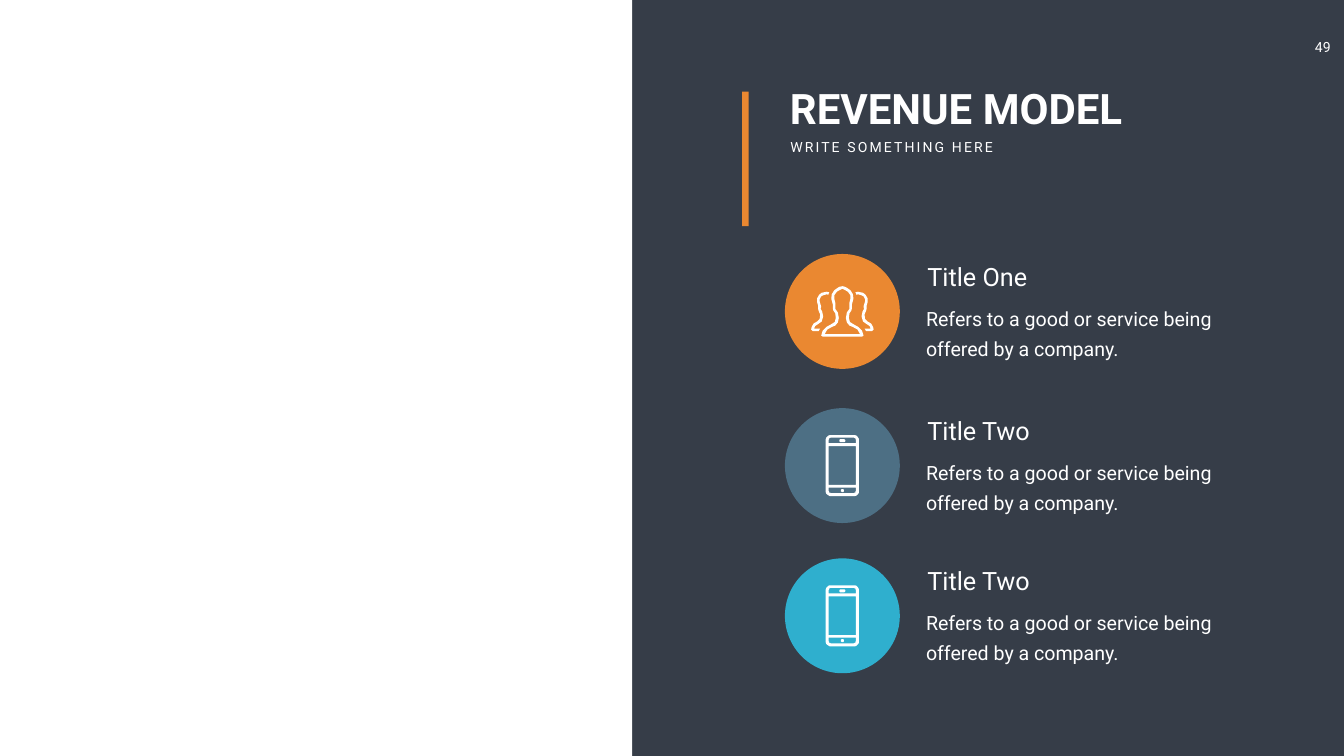
from dataclasses import dataclass
from math import cos, pi, sin

from pptx import Presentation
from pptx.dml.color import RGBColor
from pptx.enum.shapes import MSO_SHAPE
from pptx.enum.text import MSO_ANCHOR, MSO_AUTO_SIZE, PP_ALIGN
from pptx.util import Cm, Pt

RECT, OVAL = MSO_SHAPE.RECTANGLE, MSO_SHAPE.OVAL
LEFT, CENTER = PP_ALIGN.LEFT, PP_ALIGN.CENTER
TOP, FIXED = MSO_ANCHOR.TOP, MSO_AUTO_SIZE.NONE

WHITE = RGBColor(0xFF, 0xFF, 0xFF)
DARK = RGBColor(0x36, 0x3D, 0x48)
ORANGE = RGBColor(0xEA, 0x88, 0x31)
SLATE = RGBColor(0x4D, 0x6F, 0x84)
CYAN = RGBColor(0x2F, 0xAF, 0xCE)

FONT = "Roboto"
BODY = "Refers to a good or service being offered by a company."
DISC_X, DISC = 39.55, 5.79
UNIT = Cm(2.54) / 100  # one step of the icon grids

Path = list[tuple[float, float]]


@dataclass
class Box:
    x: float
    y: float
    w: float
    h: float


@dataclass
class Item:
    top: float
    title: str
    color: RGBColor
    icon: list[Path]


def mirror(half: Path) -> Path:
    return [(-x, y) for x, y in reversed(half)]


def rounded(x: float, y: float, w: float, h: float, top: float, base: float) -> Path:
    """Outline of a rectangle with one radius for the top and one for the base."""
    turns = [(x + w - top, y + top, top, -90), (x + w - base, y + h - base, base, 0),
             (x + base, y + h - base, base, 90), (x + top, y + top, top, 180)]
    return [(cx + r * cos(a * pi / 180), cy + r * sin(a * pi / 180))
            for cx, cy, r, start in turns
            for a in (range(start, start + 91, 15) if r else [start])]


# Icon paths are centred on x = 0 and start at y = 0.
OUTER = [(0, 0), (-5, 1), (-9, 3), (-16, 8), (-21, 16), (-22, 25), (-19, 36),
         (-19, 43), (-18, 48), (-14, 54), (-13, 63), (-15, 71), (-23, 76),
         (-32, 81), (-39, 88), (-42, 98), (-39, 100)]
INNER = [(0, 5), (-6, 8), (-11, 11), (-16, 18), (-16, 25), (-14, 33), (-14, 45),
         (-9, 52), (-7, 63), (-9, 72), (-14, 78), (-21, 81), (-30, 86), (-35, 95)]
SIDE = [(-48, 75), (-41, 70), (-38, 60), (-40, 50), (-43, 45), (-42, 40), (-43, 37),
        (-45, 30), (-45, 26), (-42, 20), (-38, 18), (-31, 16), (-28, 17), (-26, 12),
        (-31, 11), (-41, 13), (-46, 17), (-50, 24), (-50, 32), (-48, 39), (-48, 45),
        (-47, 49), (-44, 56), (-45, 65), (-50, 70), (-57, 74), (-61, 81), (-62, 86),
        (-59, 89), (-47, 89), (-44, 84), (-56, 84), (-54, 79)]
PEOPLE = [OUTER + mirror(OUTER), INNER + mirror(INNER), SIDE, mirror(SIDE)]
PHONE = [rounded(-33, 0, 66, 121, 11, 11), rounded(-27, 5, 54, 11, 5, 0),
         rounded(-27, 22, 54, 77, 0, 0), rounded(-27, 104, 54, 11, 0, 5),
         rounded(-6, 8, 12, 6, 3, 3), rounded(-3, 107, 6, 6, 3, 3)]

ITEMS = [Item(12.8, "Title One", ORANGE, PEOPLE),
         Item(20.57, "Title Two", SLATE, PHONE),
         Item(28.14, "Title Two", CYAN, PHONE)]


def paint(shape, color: RGBColor) -> None:
    shape.shadow.inherit = False
    shape.fill.solid()
    shape.fill.fore_color.rgb = color
    shape.line.fill.background()


def block(slide, kind: MSO_SHAPE, box: Box, color: RGBColor) -> None:
    shape = slide.shapes.add_shape(kind, Cm(box.x), Cm(box.y), Cm(box.w), Cm(box.h))
    paint(shape, color)


def write(shape, text: str, size: float, bold: bool = False, wrap: bool = True,
          align: PP_ALIGN = LEFT):
    """Fill the shape with one run and return its paragraph."""
    frame = shape.text_frame
    frame.word_wrap = wrap
    frame.auto_size = FIXED
    frame.vertical_anchor = TOP
    para = frame.paragraphs[0]
    para.alignment = align
    run = para.add_run()
    run.text = text
    run.font.name = FONT
    run.font.size = Pt(size)
    run.font.bold = bold
    run.font.color.rgb = WHITE
    return para


def add_text(slide, box: Box):
    return slide.shapes.add_textbox(Cm(box.x), Cm(box.y), Cm(box.w), Cm(box.h))


def draw_icon(slide, paths: list[Path], x: float, y: float) -> None:
    """Draw the icon centred on the given point."""
    pen = slide.shapes.build_freeform(*paths[0][0], scale=UNIT)
    pen.add_line_segments(paths[0][1:])
    for path in paths[1:]:
        pen.move_to(*path[0])
        pen.add_line_segments(path[1:])
    tall = max(py for path in paths for _, py in path)
    paint(pen.convert_to_shape(Cm(x), int(Cm(y) - tall * UNIT / 2)), WHITE)


def draw_item(slide, item: Item) -> None:
    block(slide, OVAL, Box(DISC_X, item.top, DISC, DISC), item.color)
    draw_icon(slide, item.icon, DISC_X + DISC / 2, item.top + DISC / 2)
    body = add_text(slide, Box(46.05, item.top + 2.03, 17.53, 3.53))
    frame = body.text_frame
    frame.margin_left = frame.margin_right = Cm(0.61)
    frame.margin_top = frame.margin_bottom = Cm(0.3)
    write(body, BODY, 28).line_spacing = Pt(43)
    write(add_text(slide, Box(46.48, item.top + 0.25, 14.4, 1.8)), item.title, 36)


def main() -> None:
    deck = Presentation()
    deck.slide_width, deck.slide_height = Cm(67.72), Cm(38.1)
    slide = deck.slides.add_slide(deck.slide_layouts[5])
    slide.background.fill.solid()
    slide.background.fill.fore_color.rgb = DARK

    title = slide.shapes.title
    title.left, title.top = Cm(39.55), Cm(4.04)
    title.width, title.height = Cm(26.39), Cm(2.82)
    write(title, "REVENUE MODEL", 60, bold=True)

    write(add_text(slide, Box(65.5, 1.7, 2.31, 1.37)), "49", 20, wrap=False, align=CENTER)
    slide.shapes[-1].text_frame.margin_top = Cm(0.25)
    block(slide, RECT, Box(0, 0, 31.85, 38.1), WHITE)
    block(slide, RECT, Box(37.39, 4.62, 0.33, 6.78), ORANGE)
    sub = write(add_text(slide, Box(39.57, 6.86, 11.05, 1.12)),
                "WRITE SOMETHING HERE", 20, wrap=False)
    sub.runs[0].font._element.set("spc", "300")

    for item in ITEMS:
        draw_item(slide, item)
    deck.save("out.pptx")


if __name__ == "__main__":
    main()
